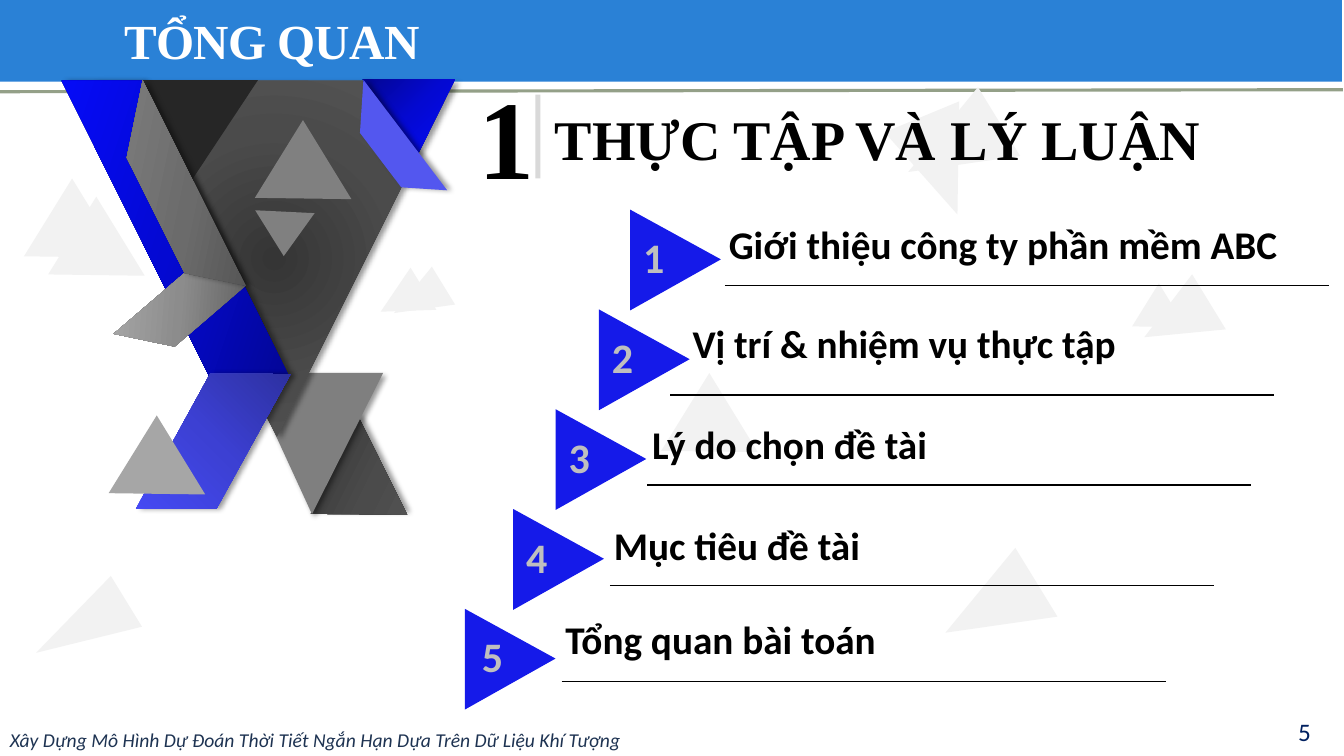
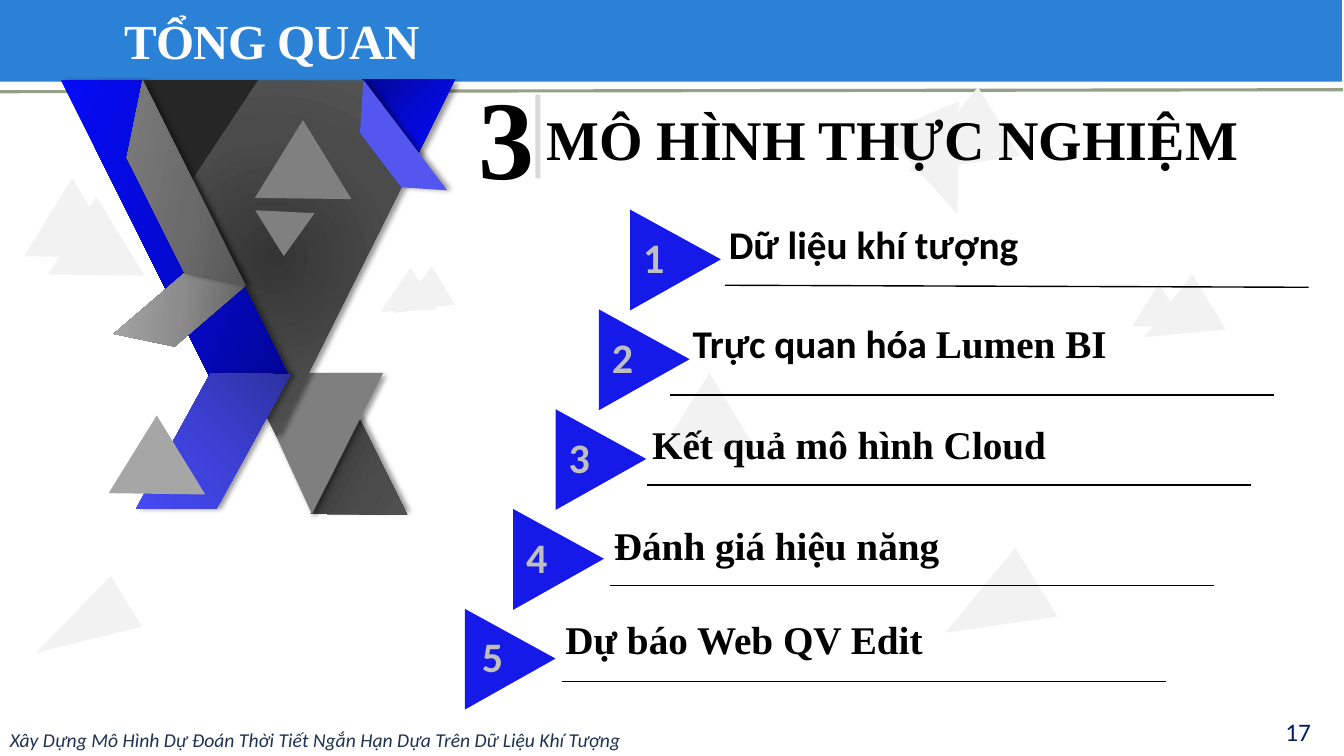
from lxml import etree
from pptx import Presentation
from pptx import util as u
from pptx.dml.color import RGBColor
from pptx.enum import shapes, text
from pptx.oxml.ns import qn

# Colours and fonts
BLUE_BAND = RGBColor(0x2A, 0x81, 0xD6)
GREEN_RULE = RGBColor(0x94, 0xA0, 0x88)
MARKER_BLUE = RGBColor(0x15, 0x1A, 0xE9)
SOFT_BLUE = RGBColor(0x53, 0x57, 0xEF)
NAVY = RGBColor(0x00, 0x20, 0x60)
FOOTER_NAVY = RGBColor(0x1E, 0x33, 0x52)
WHITE = RGBColor(0xFF, 0xFF, 0xFF)
PALE = RGBColor(0xF2, 0xF2, 0xF2)
LIGHT = RGBColor(0xD9, 0xD9, 0xD9)
SILVER = RGBColor(0xBF, 0xBF, 0xBF)
ASH = RGBColor(0xA6, 0xA6, 0xA6)
GREY = RGBColor(0x80, 0x80, 0x80)
CHARCOAL = RGBColor(0x26, 0x26, 0x26)
BLACK = RGBColor(0, 0, 0)
SANS, SERIF = "Calibri", "Times New Roman"

# Gradient stops at 0, 50 and 100 %
DARK_STOPS = ("353535", "4B4B4B", "595959")
BLUE_STOPS = ("030693", "0409D2", "050BF9")
VIOLET_STOPS = ("2A2D95", "3C40D3", "474CFB")
SILVER_STOPS = ("626262", "8C8C8C", "A6A6A6")
GREY_STOPS = ("4B4B4B", "6B6B6B", "7F7F7F")

# Content
TITLE = "TỔNG QUAN"
FOOTER = "Xây Dựng Mô Hình Dự Đoán Thời Tiết Ngắn Hạn Dựa Trên Dữ Liệu Khí Tượng"
SECTIONS = [
    {
        "page": "5", "number": "1", "heading": "THỰC TẬP VÀ LÝ LUẬN",
        "heading_width": 6.77, "heading_align": text.PP_ALIGN.CENTER,
        "first_rule_end": (13.18, 2.83),
        "items": [
            [("Giới thiệu công ty phần mềm ABC", SANS)],
            [("Vị trí & nhiệm vụ thực tập", SANS)],
            [("Lý do chọn đề tài", SANS)],
            [("Mục tiêu đề tài", SANS)],
            [("Tổng quan bài toán", SANS)],
        ],
    },
    {
        "page": "17", "number": "3", "heading": "MÔ HÌNH THỰC NGHIỆM",
        "heading_width": 7.39, "heading_align": text.PP_ALIGN.LEFT,
        "first_rule_end": (12.98, 2.85),
        "items": [
            [("Dữ liệu khí tượng", SANS)],
            [("Trực quan hóa ", SANS), ("Lumen BI", SERIF)],
            [("Kết quả mô hình Cloud", SERIF)],
            [("Đánh giá hiệu năng", SERIF)],
            [("Dự báo Web QV Edit", SERIF)],
        ],
    },
]

# Item rows in inches: marker left, number left, label corner, rule start
ROWS = [
    (6.20, 6.25, (7.13, 2.14), (7.19, 2.83)),
    (5.89, 5.94, (6.77, 3.12), (6.65, 3.92)),
    (5.46, 5.51, (6.37, 4.12), (6.42, 4.81)),
    (5.04, 5.09, (5.99, 5.12), (6.05, 5.81)),
    (4.56, 4.65, (5.51, 6.06), (5.57, 6.76)),
]
ROW_TOP, ROW_STEP, RULE_LENGTH = 2.13, 0.99, 5.99

# Scattered background triangles: box and rotation
TILT, TILT_PEAK = 238.5, 0.556
SCATTER = [
    ((11.18, 2.92, 0.51, 0.45), TILT), ((11.36, 2.82, 0.64, 0.73), TILT),
    ((6.47, 3.90, 0.92, 0.81), TILT), ((8.94, 1.12, 0.80, 1.03), 157.5),
    ((9.07, 0.96, 0.80, 1.03), TILT), ((0.52, 5.72, 0.59, 1.03), TILT),
    ((9.44, 5.53, 0.80, 1.03), TILT), ((0.15, 1.97, 0.92, 0.81), TILT),
    ((0.39, 2.15, 0.92, 0.81), TILT), ((3.75, 2.75, 0.49, 0.48), TILT),
    ((3.94, 2.70, 0.44, 0.56), TILT),
]

# Folded ribbon: preset, box, rotation, flip, adjustment, fill, shadow direction.
# A gradient fill is (stops, angle) or (stops, focus rectangle).
RECTANGLE = shapes.MSO_SHAPE.RECTANGLE
TRIANGLE = shapes.MSO_SHAPE.ISOSCELES_TRIANGLE
SLANT = shapes.MSO_SHAPE.PARALLELOGRAM
STRIPE = shapes.MSO_SHAPE.DIAGONAL_STRIPE
RIBBON = [
    (TRIANGLE, (3.17, 4.38, 1.07, 0.86), 116.4, None, 0.609, (DARK_STOPS, 270), 315),
    (TRIANGLE, (2.45, 3.70, 1.35, 1.40), 180, None, 0.523, RGBColor(0x7F, 0x7F, 0x7F), 45),
    (TRIANGLE, (0.93, 0.80, 3.58, 3.53), 180, None, 0.493, (DARK_STOPS, (50, 50, 50, 50)), 45),
    (SLANT, (-0.07, 1.91, 3.62, 0.71), 63.5, None, 0.498, (BLUE_STOPS, 135), 0),
    (SLANT, (1.16, 4.03, 1.91, 0.70), 298.8, "flipV", 0.546, (VIOLET_STOPS, (100, 0, 0, 100)), 0),
    (SLANT, (1.13, 2.83, 1.30, 0.49), 319.4, "flipV", 0.768, (SILVER_STOPS, 135), None),
    (TRIANGLE, (1.57, 0.55, 1.10, 1.02), 63.6, None, 0.462, CHARCOAL, None),
    (STRIPE, (1.22, 0.92, 1.41, 1.79), 191.6, "flipH", 0.562, (GREY_STOPS, 180), 0),
    (TRIANGLE, (3.60, 0.79, 0.91, 0.73), 180, None, 0.398, (BLUE_STOPS, (0, 0, 100, 100)), None),
    (STRIPE, (3.57, 0.82, 0.90, 1.04), 183.7, "flipH", 0.493, SOFT_BLUE, 0),
    (TRIANGLE, (2.52, 2.10, 0.59, 0.44), 182.8, None, 0.483, GREY, None),
    (TRIANGLE, (2.44, 1.39, 0.92, 0.81), TILT, None, TILT_PEAK, GREY, None),
    (TRIANGLE, (0.99, 4.32, 0.92, 0.81), TILT, None, TILT_PEAK, ASH, None),
]


def lengths(inches):
    return [u.Cm(value * 2.54) for value in inches]


def add_xml(parent, tag, **attributes):
    element = etree.SubElement(parent, qn(tag))
    for name, value in attributes.items():
        element.set(name, str(value))
    return element


def fill_gradient(shape, stops, direction):
    shape.fill.gradient()
    gradient = shape._element.spPr.find(qn("a:gradFill"))
    for child in list(gradient):
        gradient.remove(child)
    stop_list = add_xml(gradient, "a:gsLst")
    for index, colour in enumerate(stops):
        stop = add_xml(stop_list, "a:gs", pos=index * 50000)
        add_xml(stop, "a:srgbClr", val=colour)
    if isinstance(direction, tuple):
        focus = {side: value * 1000 for side, value in zip("ltrb", direction)}
        add_xml(add_xml(gradient, "a:path", path="circle"), "a:fillToRect", **focus)
    else:
        add_xml(gradient, "a:lin", ang=direction * 60000, scaled=1)


def add_shadow(shape, direction):
    effects = shape._element.spPr.find(qn("a:effectLst"))
    shadow = add_xml(effects, "a:outerShdw", blurRad=u.Pt(4), dist=u.Pt(3),
                     dir=direction * 60000, algn="ctr", rotWithShape=0)
    colour = add_xml(shadow, "a:srgbClr", val="000000")
    add_xml(colour, "a:alpha", val=40000)


def add_figure(slide, preset, box, fill, rotation=0, flip=None, adjustment=None, shadow=None):
    shape = slide.shapes.add_shape(preset, *lengths(box))
    shape.rotation = rotation
    shape.shadow.inherit = False
    shape.line.fill.background()
    if adjustment is not None:
        shape.adjustments[0] = adjustment
    if flip:
        shape._element.spPr.xfrm.set(flip, "1")
    if isinstance(fill, RGBColor):
        shape.fill.solid()
        shape.fill.fore_color.rgb = fill
    else:
        fill_gradient(shape, *fill)
    if shadow is not None:
        add_shadow(shape, shadow)


def add_rule(slide, start, end, colour=BLACK, width=1):
    rule = slide.shapes.add_connector(shapes.MSO_CONNECTOR.STRAIGHT, *lengths(start + end))
    rule.line.color.rgb = colour
    rule.line.width = u.Pt(width)
    add_xml(rule._element.spPr, "a:effectLst")


def format_font(font, name, size, colour, bold=False, italic=False):
    font.name, font.size = name, u.Pt(size)
    font.bold, font.italic = bold, italic
    font.color.rgb = colour


def add_text(slide, box, pieces, size, colour, align=text.PP_ALIGN.LEFT,
             anchor=text.MSO_ANCHOR.TOP, bold=True, italic=False):
    frame = slide.shapes.add_textbox(*lengths(box)).text_frame
    frame.word_wrap = True
    frame.vertical_anchor = anchor
    paragraph = frame.paragraphs[0]
    paragraph.alignment = align
    for wording, font_name in pieces:
        run = paragraph.add_run()
        run.text = wording
        format_font(run.font, font_name, size, colour, bold, italic)


def add_frame(slide, page):
    # Band, green rule and scattered triangles
    add_figure(slide, RECTANGLE, (-0.02, -0.01, 13.33, 0.82), BLUE_BAND)
    add_rule(slide, (0, 0.91), (13.32, 0.89), GREEN_RULE, 2.25)
    for box, rotation in SCATTER:
        add_figure(slide, TRIANGLE, box, PALE, rotation, adjustment=TILT_PEAK)

    # Title, placed in front of the band
    title = slide.shapes.title
    title.left, title.top, title.width, title.height = lengths((1.13, 0.06, 11.03, 0.68))
    frame = title.text_frame
    frame.text = TITLE
    frame.auto_size = text.MSO_AUTO_SIZE.NONE
    frame.vertical_anchor = text.MSO_ANCHOR.BOTTOM
    paragraph = frame.paragraphs[0]
    paragraph.alignment = text.PP_ALIGN.LEFT
    paragraph.line_spacing = 0.85
    run = paragraph.runs[0]
    format_font(run.font, SERIF, 35, WHITE, bold=True)
    run._r.get_or_add_rPr().set("spc", "-50")
    slide.shapes._spTree.append(title._element)

    # Page number and footer
    add_text(slide, (11.67, 7.10, 1.43, 0.32), [(page, SANS)], 18, NAVY,
             text.PP_ALIGN.RIGHT, text.MSO_ANCHOR.MIDDLE, bold=False)
    add_text(slide, (0, 7.17, 10.23, 0.32), [(FOOTER, SANS)], 14, FOOTER_NAVY,
             bold=False, italic=True)

    # Ribbon ornament
    for preset, box, rotation, flip, adjustment, fill, shadow in RIBBON:
        add_figure(slide, preset, box, fill, rotation, flip, adjustment, shadow)


def add_section(presentation, section):
    slide = presentation.slides.add_slide(presentation.slide_layouts[5])
    add_frame(slide, section["page"])

    # Section number, divider and heading
    add_text(slide, (4.65, 0.62, 0.75, 1.45), [(section["number"], SERIF)], 80, BLACK)
    add_figure(slide, RECTANGLE, (5.31, 0.94, 0.05, 0.83), LIGHT)
    add_text(slide, (5.32, 0.99, section["heading_width"], 0.77),
             [(section["heading"], SERIF)], 40, BLACK, section["heading_align"])

    # Numbered items
    for index, (row, pieces) in enumerate(zip(ROWS, section["items"])):
        marker_left, number_left, label_corner, rule_start = row
        top = ROW_TOP + index * ROW_STEP
        add_figure(slide, TRIANGLE, (marker_left, top, 1, 0.9), MARKER_BLUE, 90, adjustment=0.494)
        add_text(slide, (number_left, top + 0.12, 0.47, 0.61), [(str(index + 1), SANS)],
                 30, SILVER, text.PP_ALIGN.CENTER)
        add_text(slide, label_corner + (6.11, 0.57), pieces, 28, BLACK)
        rule_end = (rule_start[0] + RULE_LENGTH, rule_start[1])
        add_rule(slide, rule_start, section["first_rule_end"] if index == 0 else rule_end)


def main():
    presentation = Presentation()
    presentation.slide_width, presentation.slide_height = lengths((13.33, 7.5))
    for section in SECTIONS:
        add_section(presentation, section)
    presentation.save("out.pptx")


if __name__ == "__main__":
    main()
